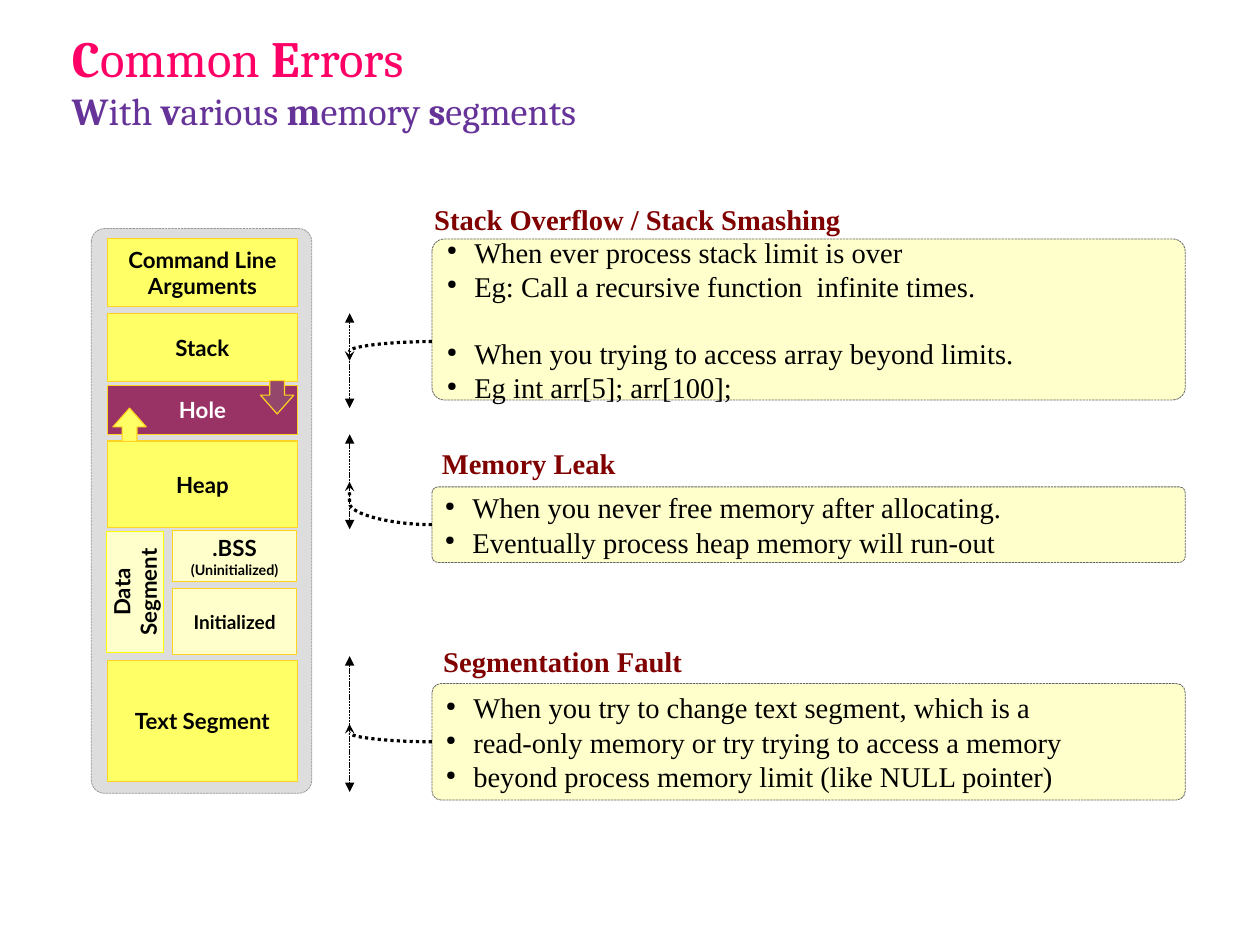
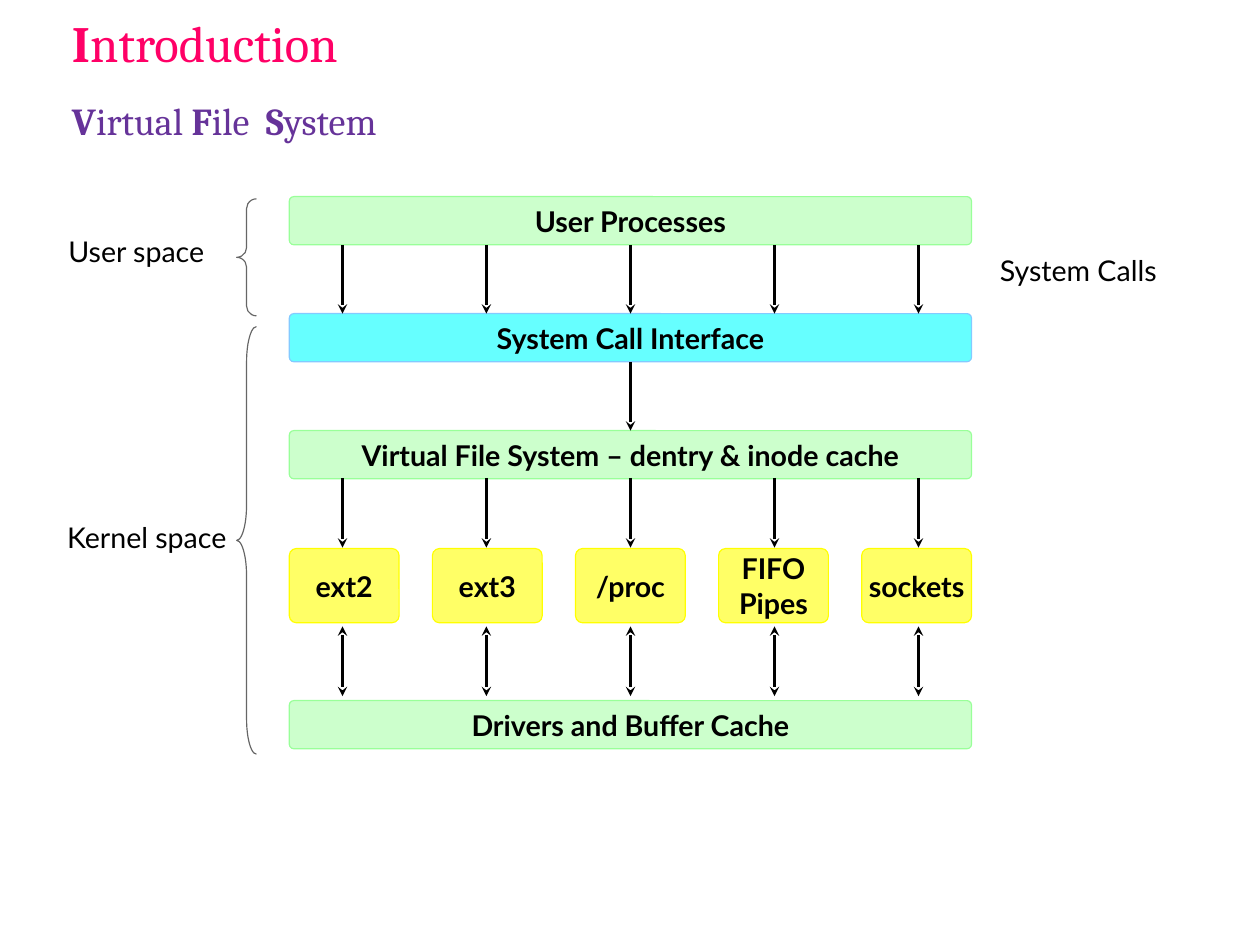
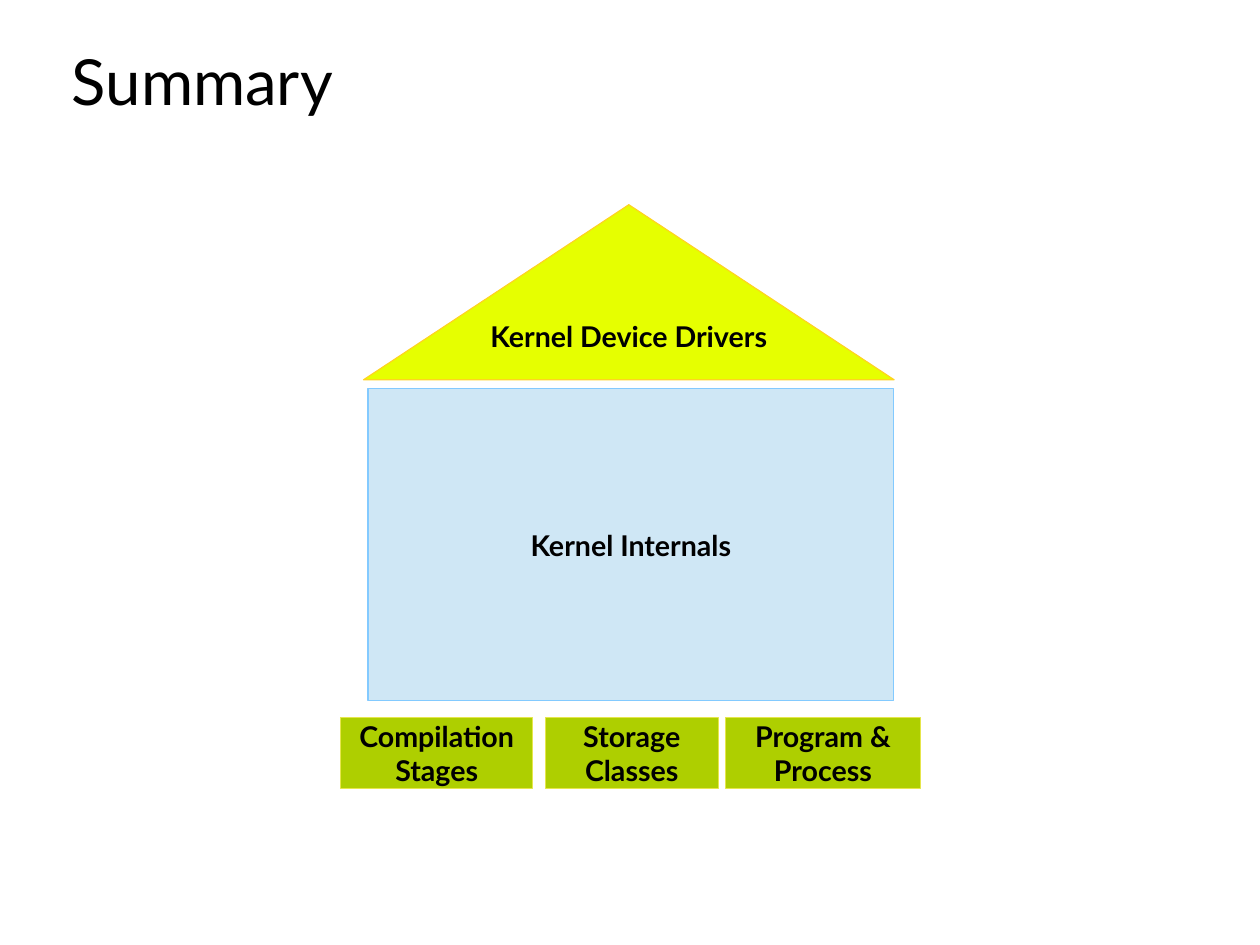
from lxml import etree
from pptx import Presentation
from pptx.dml.color import RGBColor
from pptx.enum.dml import MSO_LINE
from pptx.enum.shapes import MSO_CONNECTOR, MSO_SHAPE
from pptx.enum.text import MSO_ANCHOR, MSO_AUTO_SIZE, PP_ALIGN
from pptx.oxml.ns import qn
from pptx.util import Cm, Pt

RECT, ROUND = MSO_SHAPE.RECTANGLE, MSO_SHAPE.ROUNDED_RECTANGLE
DOWN, UP = MSO_SHAPE.DOWN_ARROW, MSO_SHAPE.UP_ARROW
TRIANGLE, BRACE = MSO_SHAPE.ISOSCELES_TRIANGLE, MSO_SHAPE.LEFT_BRACE
STRAIGHT, CURVE = MSO_CONNECTOR.STRAIGHT, MSO_CONNECTOR.CURVE
DASH, DOT = MSO_LINE.SQUARE_DOT, MSO_LINE.ROUND_DOT
LEFT, CENTER = PP_ALIGN.LEFT, PP_ALIGN.CENTER
MIDDLE = MSO_ANCHOR.MIDDLE

BLACK, WHITE, MAROON, PLUM = "000000", "FFFFFF", "800000", "993366"
YELLOW, CREAM, GOLD = "FFFF66", "FFFFCC", "FFD320"
MINT, LIME = "CCFFCC", "AECF00"

SERIF = "Times New Roman"
HEAD = dict(font="Cambria", size=32, color="FF0066")
SUB = dict(font="Cambria", size=24, color="663399")
PLAIN = dict(font="Lato", size=40, color=BLACK)


def rgb(value):
    return RGBColor.from_string(value)


def add_run(p, text, font="Lato", size=18, color=BLACK, bold=False):
    r = p.add_run()
    r.text = text
    r.font.name, r.font.size, r.font.bold = font, Pt(size), bold
    r.font.color.rgb = rgb(color)


def write(tf, text, align=LEFT, **fmt):
    """Put each line of the text in its own paragraph."""
    for i, line in enumerate(text.split("\n")):
        p = tf.add_paragraph() if i else tf.paragraphs[0]
        p.alignment = align
        add_run(p, line, **fmt)


def add_title(s, lines):
    """Each line is a list of (text, style); *stars* enclose bold letters."""
    title = s.shapes.title
    title.left, title.top, title.width, title.height = Cm(1.6), Cm(0.03), Cm(25), Cm(3.5)
    tf = title.text_frame
    tf.auto_size = MSO_AUTO_SIZE.NONE
    tf.vertical_anchor = MIDDLE
    tf.margin_left = tf.margin_right = tf.margin_top = tf.margin_bottom = 0
    for i, line in enumerate(lines):
        p = tf.add_paragraph() if i else tf.paragraphs[0]
        p.alignment = LEFT
        for text, style in line:
            for k, part in enumerate(text.split("*")):
                if part:
                    add_run(p, part, bold=k % 2 == 1, **style)


def add_box(s, kind, box, fill, line, text="", adj=(), dash=None, wrap=False, **fmt):
    sp = s.shapes.add_shape(kind, *map(Cm, box))
    sp.shadow.inherit = False
    if fill:
        sp.fill.solid()
        sp.fill.fore_color.rgb = rgb(fill)
    else:
        sp.fill.background()
    sp.line.color.rgb = rgb(line)
    sp.line.width = Pt(0.5 if dash else 0)
    if dash:
        sp.line.dash_style = dash
    for i, value in enumerate(adj):
        sp.adjustments[i] = value
    tf = sp.text_frame
    tf.word_wrap = wrap
    tf.vertical_anchor = MIDDLE
    if text:
        write(tf, text, CENTER, bold=True, **fmt)
    return sp


def add_label(s, x, y, w, text, **fmt):
    tf = s.shapes.add_textbox(Cm(x), Cm(y), Cm(w), Cm(1.2)).text_frame
    tf.word_wrap = True
    write(tf, text, **fmt)


def add_arrow(s, start, end, kind=STRAIGHT, head=None, tail="stealth", dash=None):
    c = s.shapes.add_connector(kind, *map(Cm, (*start, *end)))
    c.line.color.rgb = rgb(BLACK)
    c.line.width = Pt(0.5 if dash == DASH else 0)
    if dash:
        c.line.dash_style = dash
    ln = c.line._get_or_add_ln()
    for tag, value in (("a:headEnd", head), ("a:tailEnd", tail)):
        if value:
            etree.SubElement(ln, qn(tag), type=value)
    etree.SubElement(c._element.spPr, qn("a:effectLst"))
    return c


def add_bullet(p):
    pPr = p._p.get_or_add_pPr()
    pPr.set("marL", str(Cm(0.61)))
    pPr.set("indent", str(-Cm(0.61)))
    clr = etree.SubElement(pPr, qn("a:buClr"))
    etree.SubElement(clr, qn("a:srgbClr"), val=BLACK)
    etree.SubElement(pPr, qn("a:buSzPct"), val="45000")
    etree.SubElement(pPr, qn("a:buChar"), char="●")


def add_memory_map(s, x, y):
    add_box(s, ROUND, (x, y, 4.9, 12.55), "DDDDDD", "999999", adj=[0.06], dash=DASH)
    left, inner, width, inner_width = x + 0.36, x + 1.8, 4.22, 2.77
    for text, top, height, fill, color in (
        ("Stack", 1.88, 1.52, YELLOW, BLACK),
        ("Text Segment", 9.6, 2.69, YELLOW, BLACK),
        ("Heap", 4.72, 1.93, YELLOW, BLACK),
        ("Command Line\nArguments", 0.23, 1.5, YELLOW, BLACK),
        ("Hole", 3.48, 1.09, PLUM, WHITE),
    ):
        add_box(s, RECT, (left, y + top, width, height), fill, GOLD, text, size=14, color=color)
    add_box(s, RECT, (inner, y + 8, inner_width, 1.47), CREAM, GOLD, "Initialized", size=12)
    bss = add_box(s, RECT, (inner, y + 6.71, inner_width, 1.14), CREAM, GOLD,
                  ".BSS\n(Uninitialized)", size=14)
    bss.text_frame.paragraphs[1].runs[0].font.size = Pt(9)
    for kind, dx, dy, fill in ((DOWN, 3.76, 3.38, "94476B"), (UP, 0.48, 3.99, YELLOW)):
        add_box(s, kind, (x + dx, y + dy, 0.74, 0.74), fill, GOLD, adj=[0.446, 0.564])
    data = add_box(s, RECT, (x - 0.38, y + 7.44, 2.69, 1.27), CREAM, "FFFF00",
                   "Data Segment", wrap=True, size=14)
    data.rotation = 270


def add_error(s, heading, offset, box, bullets, span, join=None, gap_before=None):
    """Note with a heading, tied to the stretch of memory it is about.

    The curve leaves the note at height join, by default its middle.
    """
    x, y, w, h = box
    note = add_box(s, ROUND, box, CREAM, "666666", adj=[0.078], dash=DASH, wrap=True)
    tf = note.text_frame
    write(tf, bullets, font=SERIF)
    for i, p in enumerate(tf.paragraphs):
        if i == gap_before:
            p.space_before = Pt(20.7)
        add_bullet(p)

    range_x, (top, bottom) = 7.77, span
    add_arrow(s, (range_x, top), (range_x, bottom), head="triangle", tail="triangle", dash=DASH)
    curve = add_arrow(s, (x, join or y + h / 2), (range_x, (top + bottom) / 2), CURVE, dash=DOT)
    guides = curve._element.spPr.find(qn("a:prstGeom")).get_or_add_avLst()
    etree.SubElement(guides, qn("a:gd"), name="adj1", fmla="val 100000")
    dx, dy = offset
    add_label(s, x + dx, y + dy, 12.5, heading, font=SERIF, color=MAROON, bold=True)


def add_file_system(s, x, y):
    width, bar, columns = 15.16, 1.07, 5
    for text, top, fill, line in (
        ("User Processes", 0, MINT, "99FF99"),
        ("System Call Interface", 2.6, "66FFFF", "83CAFF"),
        ("Virtual File System – dentry & inode cache", 5.2, MINT, "99FF99"),
        ("Drivers and Buffer Cache", 11.2, MINT, "99FF99"),
    ):
        add_box(s, ROUND, (x, y + top, width, bar), fill, line, text, adj=[0.094])
    for i, text in enumerate(("ext2", "ext3", "/proc", "FIFO\nPipes", "sockets")):
        add_box(s, ROUND, (x + 3.18 * i, y + 7.82, 2.44, 1.65), YELLOW, "FFFF00", text, adj=[0.094])

    for top, bottom, head in ((bar, 2.6, None), (6.25, 7.8, None), (9.55, 11.1, "stealth")):
        for i in range(columns):
            column = x + 1.18 + 3.2 * i
            add_arrow(s, (column, y + top), (column, y + bottom), head=head)
    add_arrow(s, (x + width / 2, y + 2.6 + bar), (x + width / 2, y + 5.2))


def add_space(s, text, x, text_y, y, h):
    """Brace of height h with the name of the space on its left."""
    w = 0.44
    add_box(s, BRACE, (5.26, y, w, h), None, "666666", adj=[h / w / 12, 0.5])
    add_label(s, x, text_y, 4.27, text)


def add_house(s, x, y):
    for text, dx, w in (
        ("Compilation\nStages", 0, 4.27),
        ("Storage\nClasses", 4.55, 3.84),
        ("Program &\nProcess", 8.56, 4.32),
    ):
        add_box(s, RECT, (x + dx, y + 11.4, w, 1.57), LIME, "E6E64C", text)
    add_box(s, RECT, (x + 0.61, y + 4.09, 11.68, 6.93), "CFE7F5", "83CAFF", "Kernel Internals")
    add_box(s, TRIANGLE, (x + 0.51, y, 11.79, 3.89), "E6FF00", GOLD, "Kernel Device Drivers")


def errors_slide(s):
    add_title(s, [[("*C*ommon *E*rrors", HEAD)],
                  [("*W*ith *v*arious *m*emory *s*egments", SUB)]])
    add_memory_map(s, 2.03, 5.08)
    x, w = 9.6, 16.74
    add_error(s, "Stack Overflow / Stack Smashing", (-0.2, -0.94), (x, 5.31, w, 3.58),
              "When ever process stack limit is over\n"
              "Eg: Call a recursive function  infinite times.\n"
              "When you trying to access array beyond limits.\n"
              "Eg int arr[5]; arr[100];",
              (6.96, 9.07), join=7.59, gap_before=2)
    add_error(s, "Memory Leak", (-0.03, -1.04), (x, 10.82, w, 1.68),
              "When you never free memory after allocating.\n"
              "Eventually process heap memory will run-out",
              (9.65, 11.76))
    add_error(s, "Segmentation Fault", (0, -1), (x, 15.19, w, 2.59),
              "When you try to change text segment, which is a\n"
              "read-only memory or try trying to access a memory\n"
              "beyond process memory limit (like NULL pointer)",
              (14.58, 17.6))


def file_system_slide(s):
    add_title(s, [[("*I*ntroduction", HEAD)],
                  [("*V*irtual *F*ile", SUB), (" ", PLAIN), ("*S*ystem", SUB)]])
    add_file_system(s, 6.43, 4.37)
    add_space(s, "User space", 1.27, 5.08, 4.42, 2.6)
    add_space(s, "Kernel space", 1.24, 11.43, 7.26, 9.5)
    add_label(s, 21.97, 5.49, 4.27, "System Calls")


def summary_slide(s):
    add_title(s, [[("Summary", PLAIN)]])
    add_house(s, 7.57, 4.55)


def main():
    prs = Presentation()
    prs.slide_width, prs.slide_height = Cm(28), Cm(21)
    title_only = prs.slide_layouts[5]
    for build in (errors_slide, file_system_slide, summary_slide):
        build(prs.slides.add_slide(title_only))
    prs.save("out.pptx")


if __name__ == "__main__":
    main()
